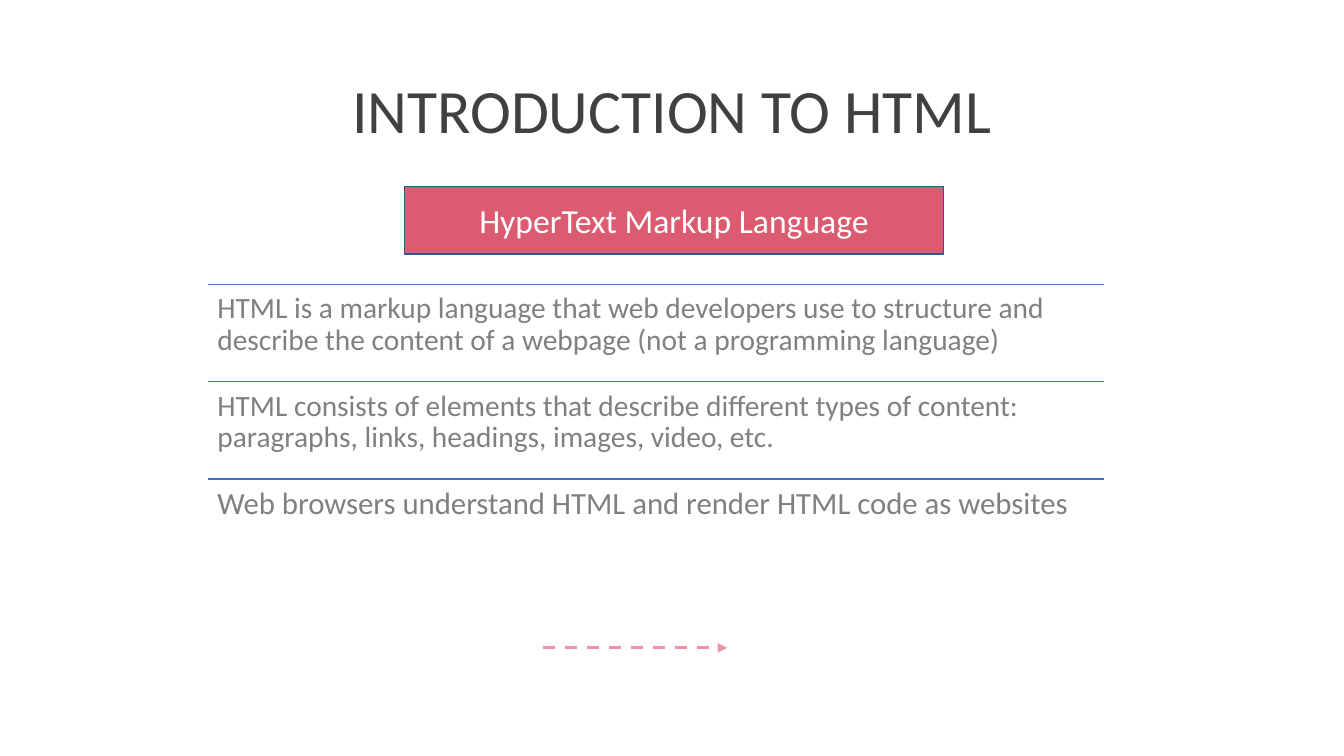
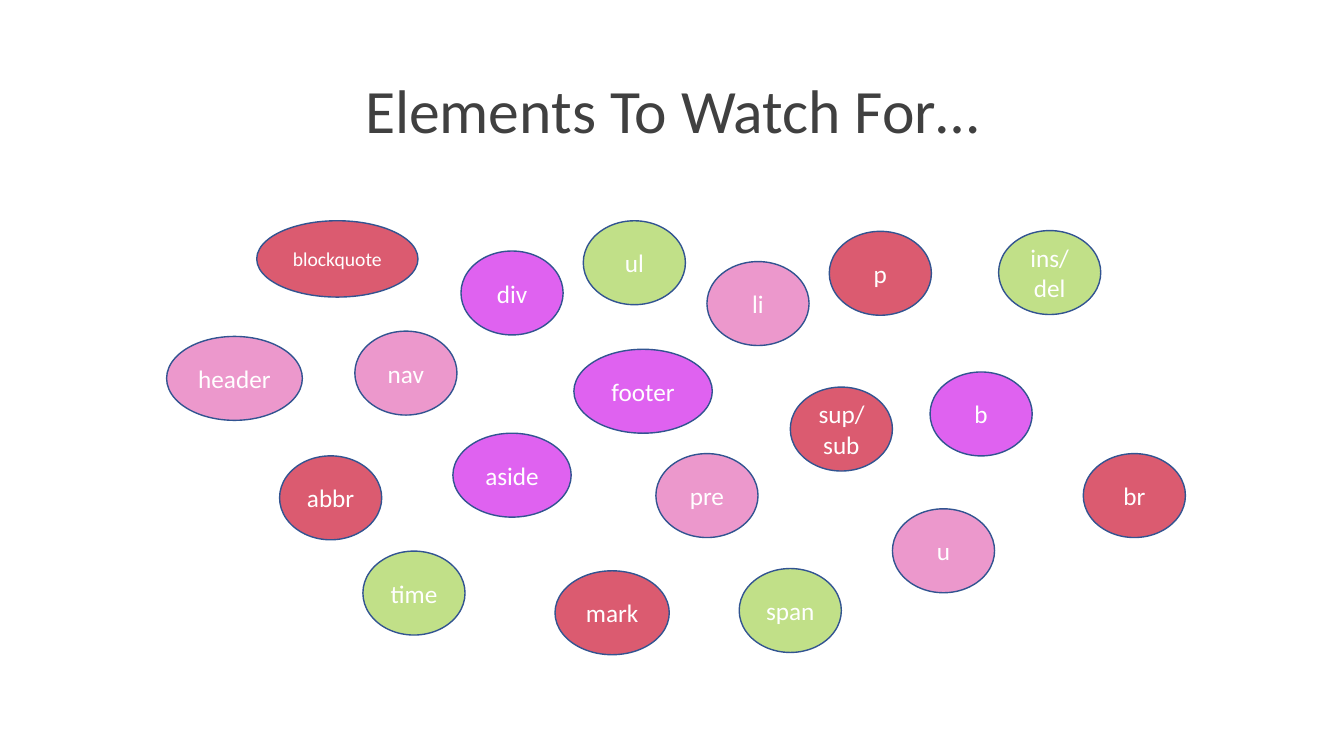
import pptx
import pptx.util
import pptx.dml.color
import pptx.enum.dml
import pptx.enum.shapes
import pptx.enum.text
import lxml.etree

RGBColor = pptx.dml.color.RGBColor
SHAPE = pptx.enum.shapes.MSO_SHAPE
ALIGN = pptx.enum.text.PP_ALIGN
ANCHOR = pptx.enum.text.MSO_ANCHOR

INK = RGBColor(0x40, 0x40, 0x40)
GREY = RGBColor(0x80, 0x80, 0x80)
WHITE = RGBColor(0xFF, 0xFF, 0xFF)
BLUE = RGBColor(0x44, 0x72, 0xC4)
OUTLINE = RGBColor(0x32, 0x54, 0x91)
ROSE = RGBColor(0xF1, 0x93, 0xA7)
RED = RGBColor(0xDB, 0x5B, 0x70)
PURPLE = RGBColor(0xDF, 0x62, 0xF0)
GREEN = RGBColor(0xC1, 0xE0, 0x88)
PINK = RGBColor(0xEC, 0x98, 0xCC)
FONT = "Calibri"

prs = pptx.Presentation()
prs.slide_width = pptx.util.Inches(13.33)
prs.slide_height = pptx.util.Inches(7.5)

# The grid has 100 columns and 100 rows.
COL = prs.slide_width / 100
ROW = prs.slide_height / 100


def box(x, y, w, h):
    """Turn grid columns and rows into left, top, width and height."""
    return int(x * COL), int(y * ROW), int(w * COL), int(h * ROW)


def write(sp, text, size=18, color=WHITE, align=ALIGN.CENTER,
          anchor=ANCHOR.MIDDLE, spacing=None, inset=None):
    tf = sp.text_frame
    tf.word_wrap = True
    tf.vertical_anchor = anchor
    if inset is not None:
        tf.margin_left = tf.margin_right = inset
        tf.margin_top = tf.margin_bottom = inset
    p = tf.paragraphs[0]
    p.alignment = align
    p.line_spacing = spacing
    r = p.add_run()
    r.text = text
    r.font.name = FONT
    r.font.size = pptx.util.Pt(size)
    r.font.color.rgb = color


# Both slides take the title place from the layout.
layout = prs.slide_layouts.get_by_name("Title Only")
title = layout.placeholders[0]
title.left, title.top, title.width, title.height = box(6.9, 5.33, 86.25, 19.33)

slides = []
for text in ("INTRODUCTION TO HTML", "Elements To Watch For…"):
    s = prs.slides.add_slide(layout)
    write(s.shapes.title, text, size=44, color=INK, spacing=0.9)
    slides.append(s)
intro, elements = slides

# Slide 1: ruled statements and a dashed arrow
LIST_X, LIST_Y, LIST_W, LIST_STEP = 15.5, 37.6, 66.65, 12.87
statements = [
    ("HTML is a markup language that web developers use to structure and "
     "describe the content of a webpage (not a programming language)", 21),
    ("HTML consists of elements that describe different types of content: "
     "paragraphs, links, headings, images, video, etc.", 21),
    ("Web browsers understand HTML and render HTML code as websites", 22),
]
lines = []
for i, (text, size) in enumerate(statements):
    y = LIST_Y + i * LIST_STEP
    lines.append((LIST_X, LIST_X + LIST_W, y, BLUE, 1))
    sp = intro.shapes.add_textbox(*box(LIST_X, y, LIST_W, 10.9))
    write(sp, text, size=size, color=GREY, align=ALIGN.LEFT,
          anchor=ANCHOR.TOP, spacing=0.9, inset=pptx.util.Inches(0.09))
lines.append((40.4, 54.1, 85.7, ROSE, 2.25))

for x1, x2, y, color, width in lines:
    line = intro.shapes.add_connector(
        pptx.enum.shapes.MSO_CONNECTOR.STRAIGHT,
        int(x1 * COL), int(y * ROW), int(x2 * COL), int(y * ROW))
    line.line.color.rgb = color
    line.line.width = pptx.util.Pt(width)
    lxml.etree.SubElement(line._element.spPr, pptx.oxml.ns.qn("a:effectLst"))

arrow = line
arrow.line.dash_style = pptx.enum.dml.MSO_LINE.DASH
lxml.etree.SubElement(arrow.line._get_or_add_ln(),
                      pptx.oxml.ns.qn("a:tailEnd"), type="triangle")

# Filled shapes: the banner on slide 1, the element bubbles on slide 2
BUBBLE_W, BUBBLE_H = 7.6, 11.1
bubbles = [
    ("div", PURPLE, 34.3, 33.2, BUBBLE_W),
    ("ul", GREEN, 43.4, 29.2, BUBBLE_W),
    ("li", PINK, 52.6, 34.6, BUBBLE_W),
    ("p", RED, 61.7, 30.6, BUBBLE_W),
    ("header", PINK, 12.4, 44.5, 10.1),
    ("nav", PINK, 26.4, 43.8, BUBBLE_W),
    ("aside", PURPLE, 33.7, 57.3, 8.8),
    ("footer", PURPLE, 42.7, 46.2, 10.3),
    ("pre", PINK, 48.8, 60, BUBBLE_W),
    ("sup/sub", RED, 58.8, 51.2, BUBBLE_W),
    ("b", PURPLE, 69.2, 49.2, BUBBLE_W),
    ("ins/del", GREEN, 74.3, 30.5, BUBBLE_W),
    ("br", RED, 80.6, 60, BUBBLE_W),
    ("abbr", RED, 20.8, 60.3, BUBBLE_W),
    ("time", GREEN, 27, 72.9, BUBBLE_W),
    ("mark", RED, 41.3, 75.5, 8.5),
    ("span", GREEN, 55, 75.2, BUBBLE_W),
    ("u", PINK, 66.4, 67.3, BUBBLE_W),
]
filled = [
    (intro, SHAPE.RECTANGLE, "HyperText Markup Language", 24, RED,
     (30.1, 24.7, 40.1, 8.9)),
    (elements, SHAPE.OVAL, "blockquote", 14, RED, (19.1, 29.2, 12, 10.1)),
]
for text, fill, x, y, w in bubbles:
    filled.append((elements, SHAPE.OVAL, text, 18, fill, (x, y, w, BUBBLE_H)))

for s, kind, text, size, fill, place in filled:
    sp = s.shapes.add_shape(kind, *box(*place))
    sp.shadow.inherit = False
    sp.fill.solid()
    sp.fill.fore_color.rgb = fill
    sp.line.color.rgb = OUTLINE
    sp.line.width = pptx.util.Pt(1)
    write(sp, text, size=size)

prs.save("out.pptx")
